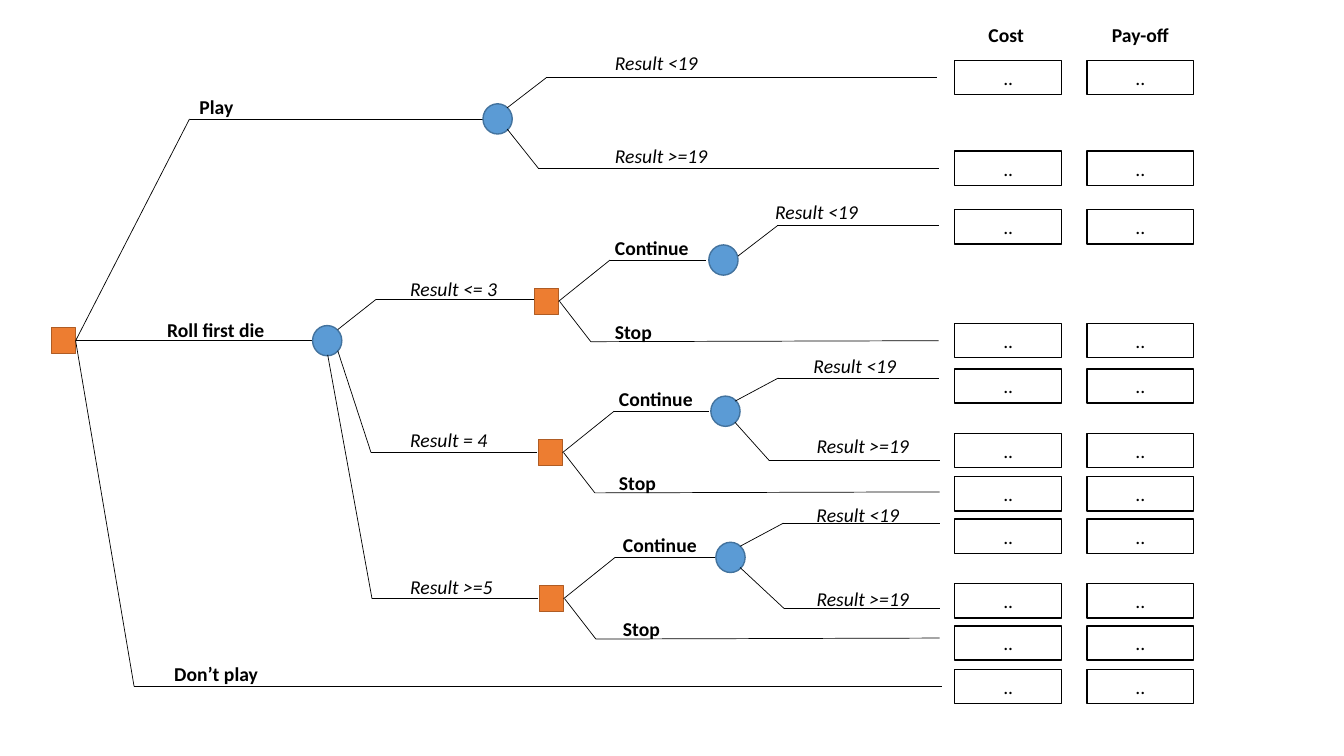
import pptx
import pptx.util
import pptx.dml.color
import pptx.enum.shapes
import pptx.enum.text
import pptx.oxml.ns
import lxml.etree

PX = 9144  # 100 px to the inch
HUES = {"ink": "000000", "choice": "ED7D31", "choice edge": "AF5C24",
        "chance": "5B9BD5", "chance edge": "43739E"}
FORMS = pptx.enum.shapes.MSO_SHAPE
ALIGN = pptx.enum.text.PP_ALIGN
# kind of node: outline, width, height
NODES = {"choice": (FORMS.RECTANGLE, 24, 26), "chance": (FORMS.OVAL, 29, 30)}


def emu(*sizes):
    return [pptx.util.Emu(size * PX) for size in sizes]


def hue(name):
    return pptx.dml.color.RGBColor.from_string(HUES[name])


def write(frame, text, bold=False, slant=False, align=ALIGN.LEFT):
    para = frame.paragraphs[0]
    para.text = text
    para.alignment = align
    font = para.font
    font.name, font.size = "Calibri", pptx.util.Pt(14)
    font.bold, font.italic = bold, slant
    font.color.rgb = hue("ink")


def label(slide, box, text, wrap=True, **style):
    frame = slide.shapes.add_textbox(*emu(*box)).text_frame
    frame.word_wrap = wrap
    frame.auto_size = pptx.enum.text.MSO_AUTO_SIZE.SHAPE_TO_FIT_TEXT
    write(frame, text, **style)


def shape(slide, form, box, fill, edge):
    item = slide.shapes.add_shape(form, *emu(*box))
    item.shadow.inherit = False
    if fill:
        item.fill.solid()
        item.fill.fore_color.rgb = hue(fill)
    else:
        item.fill.background()
    item.line.color.rgb = hue(edge)
    item.line.width = pptx.util.Pt(1)
    return item


def line(slide, start, end):
    kind = pptx.enum.shapes.MSO_CONNECTOR.STRAIGHT
    item = slide.shapes.add_connector(kind, *emu(*start, *end))
    item.line.color.rgb = hue("ink")
    item.line.width = pptx.util.Pt(0.5)
    lxml.etree.SubElement(item._element.spPr, pptx.oxml.ns.qn("a:effectLst"))


def fork(slide, kind, left, top, arms, wrap=True):
    """Draw a node and its arms: text, label (x, y, width), then bend points.

    All points count from the top left of the node.
    """
    form, width, height = NODES[kind]
    shape(slide, form, (left, top, width, height), kind, kind + " edge")
    for text, (x, y, span), *points in arms:
        spots = [(left + dx, top + dy) for dx, dy in points]
        for start, end in zip(spots, spots[1:]):
            line(slide, start, end)
        label(slide, (left + x, top + y, span, 34), text, wrap,
              bold=kind == "choice", slant=kind == "chance")


def decide(slide, left, top, stub, reach, inset):
    """Draw a continue-or-stop choice, with arms as long as stub and reach."""
    fork(slide, "choice", left, top, [
        ("Continue", (inset, -57, 149), (24, 13), (75, -28), (stub, -28)),
        ("Stop", (inset, 26, 114), (25, 13), (56, 53), (reach, 52)),
    ])


def start(slide, left, top):
    fork(slide, "choice", left, top, [
        ("Play", (137, -236, 54), (24, 13), (137, -207), (428, -207)),
        ("Roll first die", (105, -15, 118), (24, 13), (259, 13)),
        ("Don’t play", (112, 327, 104), (24, 13), (82, 356), (883, 356)),
    ], wrap=False)


def play(slide, left, top):
    fork(slide, "chance", left, top, [
        ("Result <19", (121, -57, 181), (24, 4), (63, -26), (450, -26)),
        ("Result >=19", (121, 35, 181), (24, 25), (55, 64), (452, 64)),
    ])


def roll(slide, left, top):
    fork(slide, "chance", left, top, [
        ("Result <= 3", (87, -53, 127), (25, 4), (63, -26), (221, -26)),
        ("Result = 4", (87, 97, 127), (25, 25), (58, 126), (223, 126)),
        ("Result >=5", (87, 242, 127), (15, 29), (59, 271), (224, 271)),
    ])


def second(slide):
    """Draw the choices and chances that follow the first die."""
    for spec in [(530, 286, 170, 401, 70), (534, 436, 169, 398, 70),
                 (535, 581, 175, 397, 73)]:
        decide(slide, *spec)
    fork(slide, "chance", 703, 243, [
        ("Result <19", (56, -50, 106), (29, 11), (68, -19), (228, -19)),
    ])
    fork(slide, "chance", 705, 393, [
        ("Result <19", (92, -47, 106), (24, 5), (67, -18), (226, -18)),
        ("Result >=19", (95, 33, 148), (24, 26), (58, 64), (227, 64)),
    ])
    fork(slide, "chance", 710, 538, [
        ("Result <19", (90, -44, 106), (24, 4), (67, -19), (222, -19)),
        ("Result >=19", (90, 39, 148), (24, 25), (68, 66), (222, 66)),
    ])


def values(slide, left, top, title, shift=0):
    """Draw one column of value boxes under its title."""
    label(slide, (left + shift, top, 106, 34), title,
          bold=True, align=ALIGN.CENTER)
    for drop in (42, 132, 190, 303, 348, 412, 455, 497, 561, 603, 646):
        box = (left, top + drop, 106, 34)
        frame = shape(slide, FORMS.RECTANGLE, box, None, "ink").text_frame
        frame.vertical_anchor = pptx.enum.text.MSO_ANCHOR.MIDDLE
        write(frame, "..", align=ALIGN.CENTER)


def main():
    deck = pptx.Presentation()
    deck.slide_width, deck.slide_height = emu(1333, 750)
    slide = deck.slides.add_slide(deck.slide_layouts[6])
    start(slide, 51, 325)
    play(slide, 479, 103)
    roll(slide, 310, 323)
    second(slide)
    values(slide, 947, 18, "Cost", shift=-2)
    values(slide, 1078, 18, "Pay-off")
    deck.save("out.pptx")


if __name__ == "__main__":
    main()
